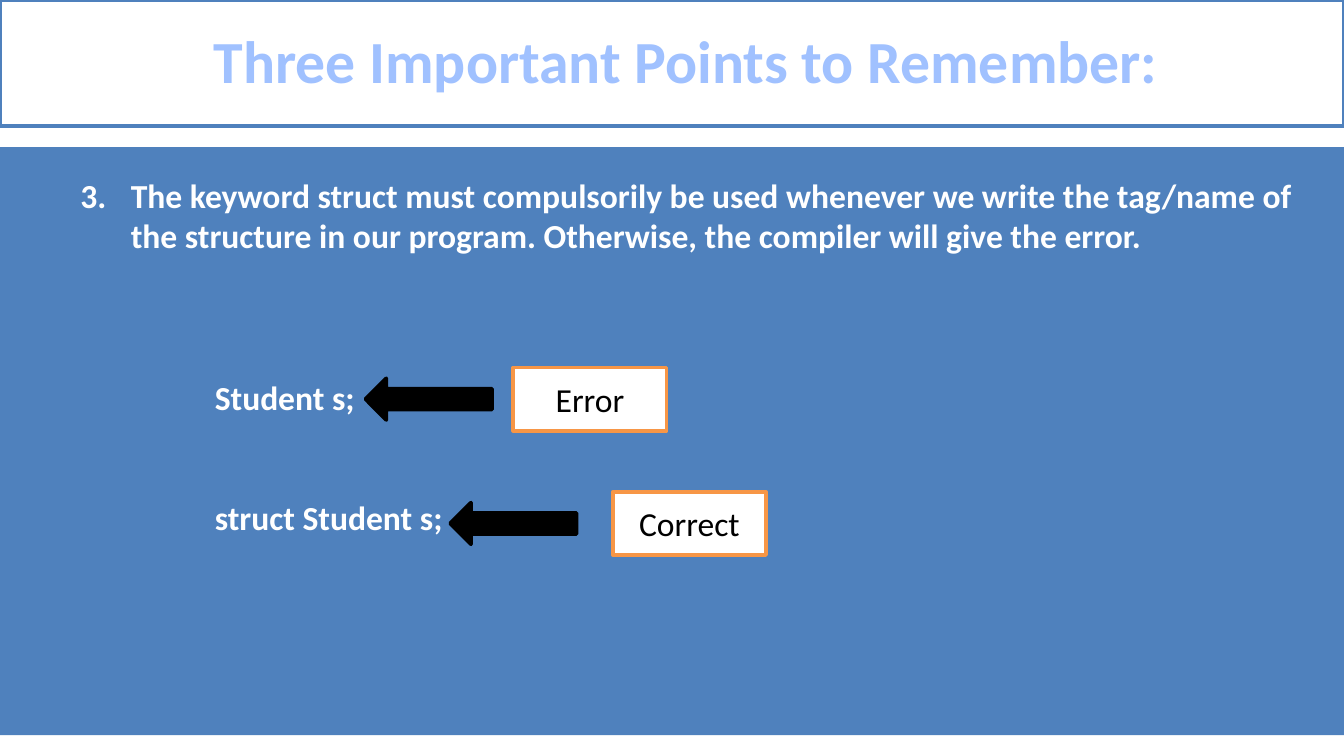
from pptx import Presentation
from pptx.dml.color import RGBColor
from pptx.enum.shapes import MSO_SHAPE
from pptx.enum.text import MSO_ANCHOR, PP_ALIGN
from pptx.oxml.ns import qn
from pptx.util import Pt
from lxml.etree import SubElement

PX = 4572  # 200 px to the inch
FONT = "Calibri"
COLOURS = {
    "white": "FFFFFF",
    "black": "000000",
    "panel": "4F81BD",
    "title": "A0C1FF",
    "label": "F79646",
}


def px(*lengths):
    return [length * PX for length in lengths]


def colour(name):
    return RGBColor.from_string(COLOURS[name])


def add_run(paragraph, text, size, colour_name, bold=False):
    run = paragraph.add_run()
    run.text = text
    run.font.name = FONT
    run.font.size = Pt(size)
    run.font.bold = bold
    run.font.color.rgb = colour(colour_name)


def indent(paragraph, left, first=0):
    properties = paragraph._p.get_or_add_pPr()
    properties.set("marL", str(left * PX))
    properties.set("indent", str(first * PX))
    return properties


def paint(shape, fill, line=None):
    shape.fill.solid()
    shape.fill.fore_color.rgb = colour(fill)
    if line:
        shape.line.color.rgb = colour(line)
        shape.line.width = Pt(2)
    else:
        shape.line.fill.background()


def add_shape(slide, kind, box, fill, line=None):
    shape = slide.shapes.add_shape(kind, *px(*box))
    shape.shadow.inherit = False
    paint(shape, fill, line)
    return shape


def set_title(slide, text):
    title = slide.shapes.title
    title.left, title.top, title.width, title.height = px(0, 0, 2000, 188)
    paint(title, "white", "panel")
    title.text_frame.vertical_anchor = MSO_ANCHOR.MIDDLE
    paragraph = title.text_frame.paragraphs[0]
    indent(paragraph, 42)
    paragraph.alignment = PP_ALIGN.CENTER
    paragraph.line_spacing = 0.96
    add_run(paragraph, text, 32, "title", bold=True)


def add_body(slide, point, number, examples):
    frame = slide.shapes.add_textbox(*px(0, 250, 2000, 566)).text_frame
    frame.word_wrap = True
    # Numbered point
    paragraph = frame.paragraphs[0]
    properties = indent(paragraph, 175, -75)
    SubElement(properties, qn("a:buFont"), typeface="+mj-lt")
    SubElement(properties, qn("a:buAutoNum"), type="arabicPeriod", startAt=str(number))
    add_run(paragraph, point, 18, "white", bold=True)
    # Declarations below it
    for text, space_before in examples:
        paragraph = frame.add_paragraph()
        indent(paragraph, 300)
        paragraph.space_before = Pt(space_before)
        add_run(paragraph, text, 18, "white", bold=True)


def add_verdict(slide, text, arrow_left, label_left, top):
    add_shape(slide, MSO_SHAPE.LEFT_ARROW, (arrow_left, top + 16, 188, 62), "black", "black")
    label = add_shape(slide, MSO_SHAPE.RECTANGLE, (label_left, top, 228, 94), "white", "label")
    label.text_frame.vertical_anchor = MSO_ANCHOR.MIDDLE
    paragraph = label.text_frame.paragraphs[0]
    paragraph.alignment = PP_ALIGN.CENTER
    add_run(paragraph, text, 18, "black")


def main():
    presentation = Presentation()
    presentation.slide_width, presentation.slide_height = px(2000, 1125)
    slide = presentation.slides.add_slide(presentation.slide_layouts[5])

    # Title band and blue panel
    set_title(slide, "Three Important Points to Remember:")
    add_shape(slide, MSO_SHAPE.RECTANGLE, (0, 219, 2000, 875), "panel")

    # Point with its two examples
    add_body(
        slide,
        "The keyword struct must compulsorily be used whenever we write the tag/name of "
        "the structure in our program. Otherwise, the compiler will give the error.",
        3,
        [("Student s;", 65), ("struct Student s;", 43)],
    )

    # Verdict on each example
    add_verdict(slide, "Error", 544, 764, 547)
    add_verdict(slide, "Correct", 670, 912, 732)

    presentation.save("out.pptx")


if __name__ == "__main__":
    main()
